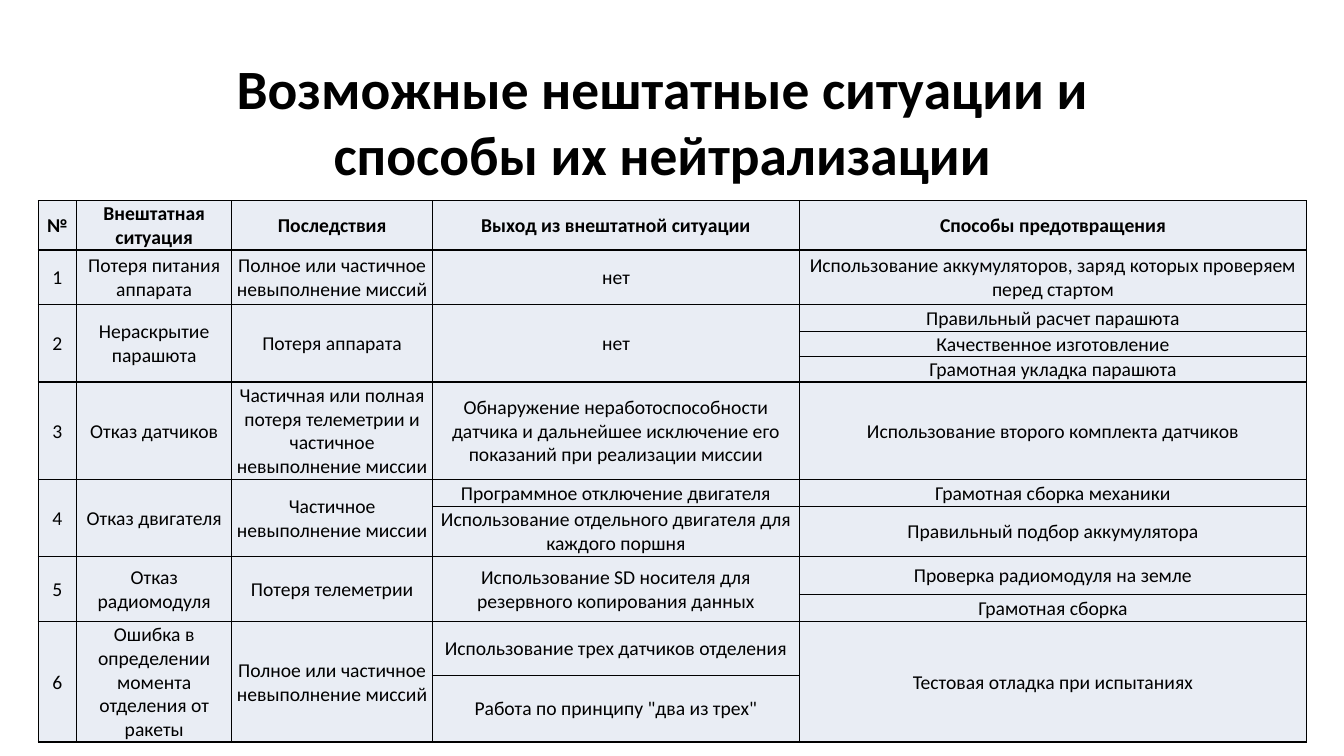
"""Build a slide with a table of possible contingencies and their remedies."""
from dataclasses import dataclass

from lxml import etree
from pptx import Presentation
from pptx.dml.color import RGBColor
from pptx.enum.text import MSO_ANCHOR, MSO_AUTO_SIZE, PP_ALIGN
from pptx.oxml.ns import qn
from pptx.util import Inches, Pt

MIDDLE = MSO_ANCHOR.MIDDLE
CENTER = PP_ALIGN.CENTER
NO_AUTOFIT = MSO_AUTO_SIZE.NONE
TITLE_ONLY = 5

TITLE = "Возможные нештатные ситуации и способы их нейтрализации"
HEADER = ("№", "Внештатная ситуация", "Последствия", "Выход из внештатной ситуации",
          "Способы предотвращения")
ROWS = [
    HEADER,
    ("1", "Потеря питания аппарата", "Полное или частичное невыполнение миссий", "нет",
     "Использование аккумуляторов, заряд которых проверяем перед стартом"),
    ("2", "Нераскрытие парашюта", "Потеря аппарата", "нет", "Правильный расчет парашюта"),
    (None, None, None, None, "Качественное изготовление"),
    (None, None, None, None, "Грамотная укладка парашюта"),
    ("3", "Отказ датчиков",
     "Частичная или полная потеря телеметрии и частичное невыполнение миссии",
     "Обнаружение неработоспособности датчика и дальнейшее исключение его показаний "
     "при реализации миссии",
     "Использование второго комплекта датчиков"),
    ("4", "Отказ двигателя", "Частичное невыполнение миссии",
     "Программное отключение двигателя", "Грамотная сборка механики"),
    (None, None, None, "Использование отдельного двигателя для каждого поршня",
     "Правильный подбор аккумулятора"),
    ("5", "Отказ радиомодуля", "Потеря телеметрии",
     "Использование SD носителя для резервного копирования данных",
     "Проверка радиомодуля на земле"),
    (None, None, None, None, "Грамотная сборка"),
    ("6", "Ошибка в определении момента отделения от ракеты",
     "Полное или частичное невыполнение миссий", "Использование трех датчиков отделения",
     "Тестовая отладка при испытаниях"),
    (None, None, None, 'Работа по принципу "два из трех"', None),
]
COLUMN_WIDTHS = (0.38, 1.54, 1.99, 3.64, 5.03)
ROW_HEIGHTS = (0.49, 0.54, 0.27, 0.25, 0.25, 0.97, 0.27, 0.49, 0.38, 0.27, 0.53, 0.66)
TABLE_LEFT, TABLE_TOP = 0.38, 1.99
TITLE_BOX = (1.45, 0.74, 10.24, 0.91)


@dataclass(frozen=True)
class Theme:
    font: str = "Calibri"
    ink: str = "000000"
    cell_fill: str = "E9EDF4"
    title_size: float = 39.6
    cell_size: float = 14
    border_width: float = 1


THEME = Theme()


def format_paragraph(paragraph, size, bold):
    paragraph.alignment = CENTER
    font = paragraph.font
    font.name = THEME.font
    font.size = Pt(size)
    font.bold = bold
    font.color.rgb = RGBColor.from_string(THEME.ink)


def add_borders(cell):
    properties = cell._tc.get_or_add_tcPr()
    for position, side in enumerate(("a:lnL", "a:lnR", "a:lnT", "a:lnB")):
        line = etree.Element(qn(side), w=str(Pt(THEME.border_width)))
        fill = etree.SubElement(line, qn("a:solidFill"))
        etree.SubElement(fill, qn("a:srgbClr"), val=THEME.ink)
        properties.insert(position, line)


def format_cell(cell, text, bold):
    cell.text = text or ""
    cell.vertical_anchor = MIDDLE
    cell.margin_left = cell.margin_right = cell.margin_top = Inches(0.01)
    cell.margin_bottom = 0
    cell.fill.solid()
    cell.fill.fore_color.rgb = RGBColor.from_string(THEME.cell_fill)
    format_paragraph(cell.text_frame.paragraphs[0], THEME.cell_size, bold)
    add_borders(cell)


def add_title(slide):
    title = slide.shapes.title
    title.left, title.top, title.width, title.height = map(Inches, TITLE_BOX)
    frame = title.text_frame
    frame.text = TITLE
    frame.word_wrap = True
    frame.auto_size = NO_AUTOFIT
    frame.vertical_anchor = MIDDLE
    format_paragraph(frame.paragraphs[0], THEME.title_size, True)


def merge_open_cells(table):
    for column in range(len(HEADER)):
        starts = [row for row, texts in enumerate(ROWS) if texts[column] is not None]
        for start, following in zip(starts, starts[1:] + [len(ROWS)]):
            if following - start > 1:
                table.cell(start, column).merge(table.cell(following - 1, column))


def add_contingency_table(slide):
    table = slide.shapes.add_table(
        len(ROWS), len(HEADER), Inches(TABLE_LEFT), Inches(TABLE_TOP),
        Inches(sum(COLUMN_WIDTHS)), Inches(sum(ROW_HEIGHTS))).table
    table.first_row = table.horz_banding = False
    for column, width in zip(table.columns, COLUMN_WIDTHS):
        column.width = Inches(width)
    for row, height, texts in zip(table.rows, ROW_HEIGHTS, ROWS):
        row.height = Inches(height)
        for cell, text in zip(row.cells, texts):
            format_cell(cell, text, texts is HEADER)
    merge_open_cells(table)


def main():
    presentation = Presentation()
    presentation.slide_width = Inches(13.33)
    presentation.slide_height = Inches(7.5)
    slide = presentation.slides.add_slide(presentation.slide_layouts[TITLE_ONLY])
    add_title(slide)
    add_contingency_table(slide)
    presentation.save("out.pptx")


if __name__ == "__main__":
    main()
